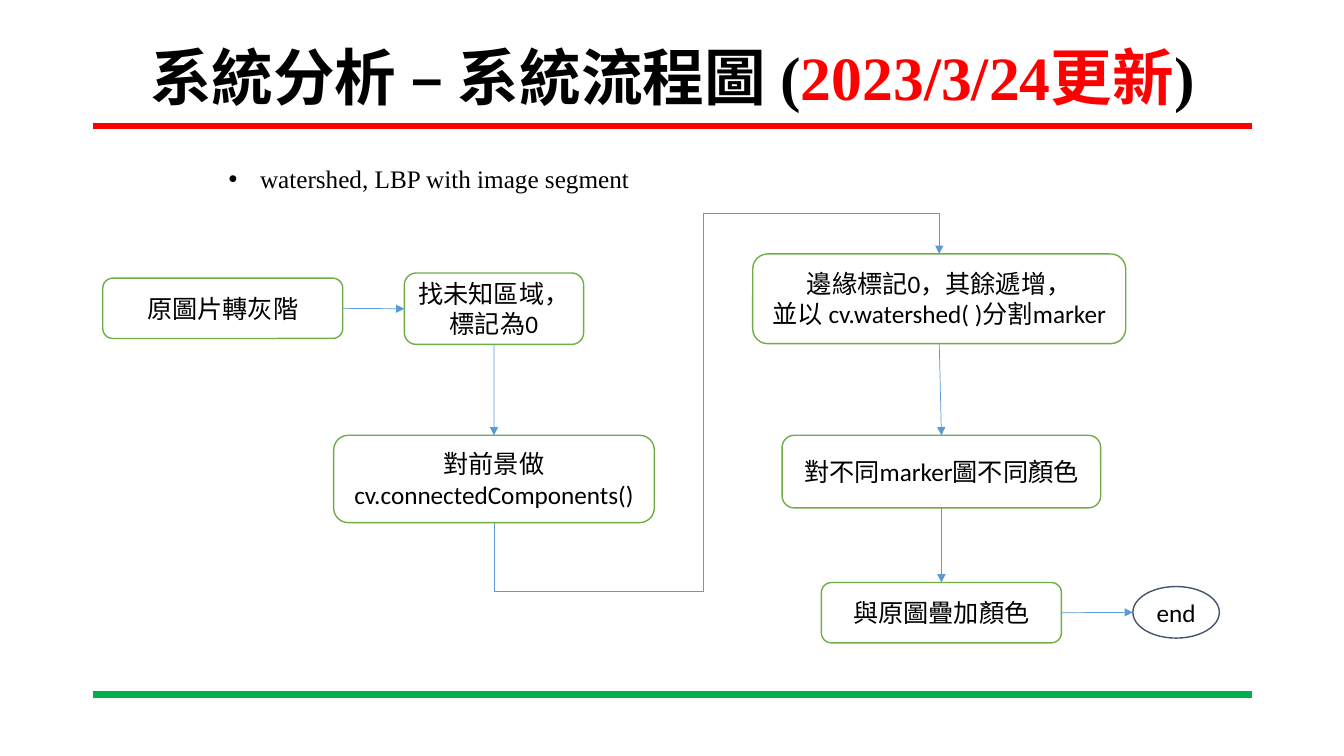
"""Builds the image segmentation flowchart slide."""
from lxml.etree import SubElement
from pptx import Presentation
from pptx.dml.color import RGBColor as Rgb
from pptx.enum.shapes import MSO_CONNECTOR as Link, MSO_SHAPE as Shape
from pptx.enum.text import MSO_ANCHOR as Anchor, MSO_AUTO_SIZE as Fit, PP_ALIGN as Align
from pptx.oxml.ns import qn
from pptx.util import Cm, Pt

TITLE = [("系統分析 – 系統流程圖 (", "text"), ("2023/3/24更新", "red"), (")", "text")]
TOPIC = "watershed, LBP with image segment"
STEPS = {
    "gray": (["原圖片轉灰階"], (2.59, 7.01, 6.05, 1.52)),
    "unknown": (["找未知區域，標記為0"], (10.19, 6.88, 4.52, 1.8)),
    "components": (["對前景做cv.connectedComponents()"], (8.41, 10.97, 8.08, 2.2)),
    "split": (["邊緣標記0，其餘遞增，", "並以 cv.watershed( )分割marker"], (18.97, 6.4, 9.4, 2.26)),
    "paint": (["對不同marker圖不同顏色"], (19.71, 10.97, 8.03, 1.83)),
    "overlay": (["與原圖疊加顏色"], (20.7, 14.68, 6.05, 1.52)),
    "end": (["end"], (28.55, 14.78, 2.18, 1.3)),
}
ARROWS = [
    ("gray", "right", "unknown", "left"),
    ("unknown", "bottom", "components", "top"),
    ("split", "bottom", "paint", "top"),
    ("paint", "bottom", "overlay", "top"),
    ("overlay", "right", "end", "left"),
]
DETOUR = ("components", "bottom", "split", "top")
DETOUR_BENDS = {"adj1": -25700, "adj2": 47100, "adj3": 115100}
RULES = [(3.18, "red"), (17.5, "green")]
RULE_LEFT, RULE_RIGHT = 2.34, 31.55
SIDES = {"top": (0.5, 0), "left": (0, 0.5), "bottom": (0.5, 1), "right": (1, 0.5)}

THEME = {
    "text": Rgb.from_string("000000"), "red": Rgb.from_string("FF0000"),
    "green": Rgb.from_string("00B050"), "paper": Rgb.from_string("FFFFFF"),
    "step": Rgb.from_string("70AD47"), "end": Rgb.from_string("44546A"),
    "arrow": Rgb.from_string("5B9BD5"),
    "title_size": Pt(44), "body_size": Pt(18),
    "serif": "Times New Roman", "sans": "Calibri",
}
TITLE_FONT = {"name": THEME["serif"], "size": THEME["title_size"], "bold": True}
TOPIC_FONT = {"name": THEME["serif"], "size": THEME["body_size"], "bold": False}
STEP_FONT = {"name": THEME["sans"], "size": THEME["body_size"], "bold": False}
PLAIN_PARA = {"space_before": Pt(0), "space_after": Pt(0), "line_spacing": 1.0}


def apply(target, values):
    for name, value in values.items():
        setattr(target, name, value)


def place(shape, left, top, width, height):
    apply(shape, {"left": Cm(left), "top": Cm(top), "width": Cm(width), "height": Cm(height)})


def write(para, text, font, color):
    span = para.add_run()
    span.text = text
    apply(span.font, font)
    span.font.color.rgb = THEME[color]


def add_line(page, start, finish, color, weight, kind=Link.STRAIGHT):
    line = page.shapes.add_connector(kind, *map(Cm, start + finish))
    line.line.color.rgb = THEME[color]
    line.line.width = Pt(weight)
    SubElement(line.element.spPr, qn("a:effectLst"))
    return line


def add_step(page, name):
    lines, spot = STEPS[name]
    last = name == "end"
    box = page.shapes.add_shape(Shape.OVAL if last else Shape.ROUNDED_RECTANGLE, *map(Cm, spot))
    box.shadow.inherit = False
    if last:
        box.fill.background()
    else:
        box.fill.solid()
        box.fill.fore_color.rgb = THEME["paper"]
    box.line.color.rgb = THEME["end" if last else "step"]
    box.line.width = Pt(1)
    apply(box.text_frame, {"word_wrap": True, "vertical_anchor": Anchor.MIDDLE})
    for index, text in enumerate(lines):
        para = box.text_frame.add_paragraph() if index else box.text_frame.paragraphs[0]
        para.alignment = Align.CENTER
        write(para, text, STEP_FONT, "text")
    return box


def port(name, side):
    left, top, width, height = STEPS[name][1]
    across, down = SIDES[side]
    return left + width * across, top + height * down


def add_arrow(page, boxes, link, kind=Link.STRAIGHT):
    source, leave, target, enter = link
    start, finish = port(source, leave), port(target, enter)
    arrow = add_line(page, start, finish, "arrow", 0.5, kind)
    sites = list(SIDES)
    arrow.begin_connect(boxes[source], sites.index(leave))
    arrow.end_connect(boxes[target], sites.index(enter) * (2 if target == "end" else 1))
    apply(arrow, {"end_x": Cm(finish[0]), "end_y": Cm(finish[1])})
    SubElement(arrow.line._get_or_add_ln(), qn("a:tailEnd"), type="triangle")
    return arrow, start, finish


def add_detour(page, boxes):
    arrow, start, finish = add_arrow(page, boxes, DETOUR, Link.ELBOW)
    width, height = start[1] - finish[1], finish[0] - start[0]
    center_x, center_y = (start[0] + finish[0]) / 2, (start[1] + finish[1]) / 2
    place(arrow, center_x - width / 2, center_y - height / 2, width, height)
    frame = arrow.element.spPr.find(qn("a:xfrm"))
    for name, value in {"rot": "5400000", "flipH": "1", "flipV": "1"}.items():
        frame.set(name, value)
    shape = arrow.element.spPr.find(qn("a:prstGeom"))
    shape.set("prst", "bentConnector5")
    bends = shape.find(qn("a:avLst"))
    for name, value in DETOUR_BENDS.items():
        SubElement(bends, qn("a:gd"), name=name, fmla=f"val {value}")


def add_text(page):
    title, body = page.shapes.title, page.placeholders[1]
    place(title, 2.34, 1.02, 29.21, 2.01)
    apply(title.text_frame, {"word_wrap": True, "auto_size": Fit.NONE,
                             "vertical_anchor": Anchor.MIDDLE})
    para = title.text_frame.paragraphs[0]
    apply(para, {**PLAIN_PARA, "line_spacing": 0.9, "alignment": Align.CENTER})
    for text, color in TITLE:
        write(para, text, TITLE_FONT, color)
    place(body, 5.51, 3.99, 19.38, 1.02)
    apply(body.text_frame, {"word_wrap": True, "auto_size": Fit.NONE,
                            "vertical_anchor": Anchor.TOP})
    para = body.text_frame.paragraphs[0]
    apply(para, {**PLAIN_PARA, "alignment": Align.LEFT})
    details = para._p.get_or_add_pPr()
    details.set("marL", str(Cm(0.79)))
    details.set("indent", str(-Cm(0.79)))
    SubElement(details, qn("a:buFont"), typeface="Arial")
    SubElement(details, qn("a:buChar"), char="•")
    write(para, TOPIC, TOPIC_FONT, "text")


def main():
    deck = Presentation()
    apply(deck, {"slide_width": Cm(33.87), "slide_height": Cm(19.05)})
    page = deck.slides.add_slide(deck.slide_layouts[1])
    for height, color in RULES:
        add_line(page, (RULE_LEFT, height), (RULE_RIGHT, height), color, 4.5)
    add_text(page)
    boxes = {name: add_step(page, name) for name in STEPS}
    for link in ARROWS:
        add_arrow(page, boxes, link)
    add_detour(page, boxes)
    deck.save("out.pptx")


if __name__ == "__main__":
    main()
